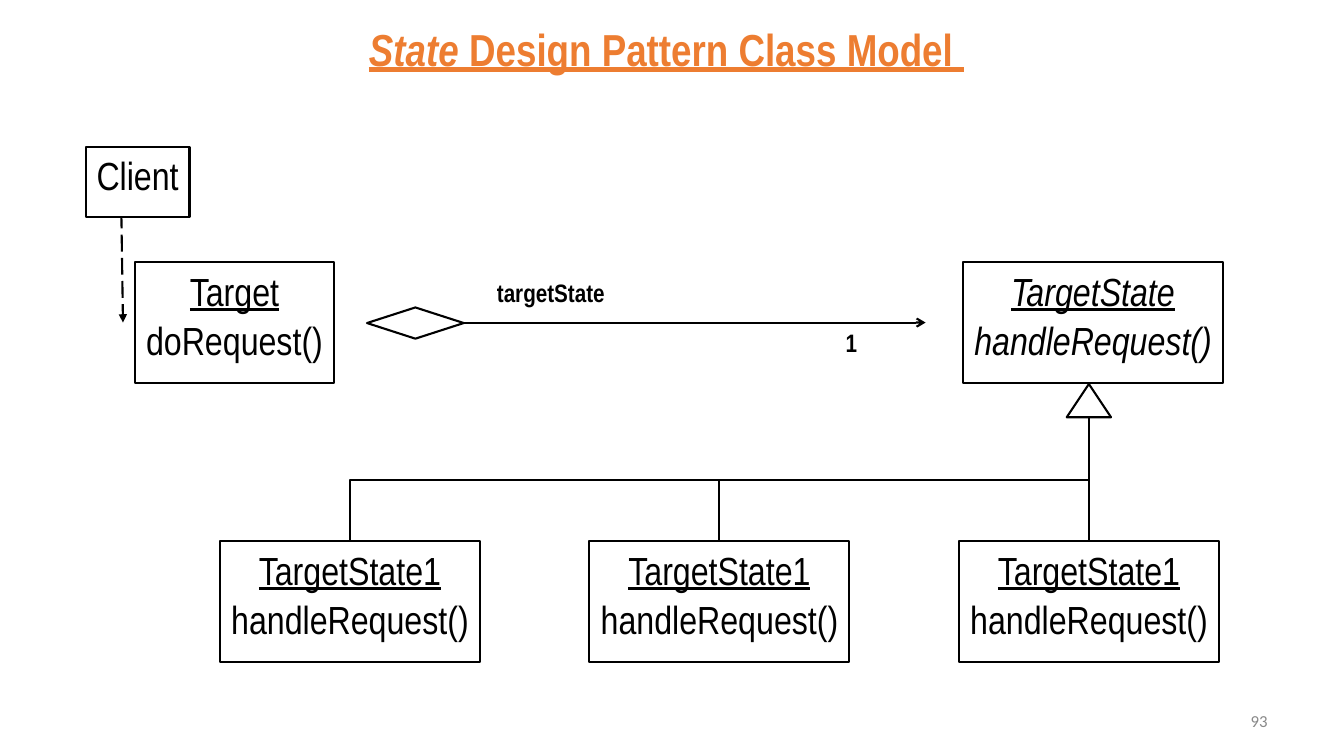
from dataclasses import dataclass

from lxml.etree import SubElement
from pptx import Presentation
from pptx.dml.color import RGBColor
from pptx.enum.dml import MSO_LINE
from pptx.enum.shapes import MSO_CONNECTOR, MSO_SHAPE
from pptx.enum.text import MSO_ANCHOR, PP_ALIGN
from pptx.oxml.ns import qn
from pptx.util import Inches, Pt

BLACK = RGBColor(0x00, 0x00, 0x00)
WHITE = RGBColor(0xFF, 0xFF, 0xFF)
ORANGE = RGBColor(0xED, 0x7D, 0x31)
GRAY = RGBColor(0x89, 0x89, 0x89)

CELL = Inches(0.1)
CLASS_FONT = {"name": "Arial Narrow", "size": Pt(28)}
LABEL_FONT = {"name": "Arial Narrow", "size": Pt(18), "bold": True}
TITLE_FONT = {"name": "Arial Narrow", "size": Pt(32), "bold": True, "underline": True}
NUMBER_FONT = {"name": "Calibri", "size": Pt(12)}
UNDERLINED = {"underline": True}
ITALIC = {"italic": True}


@dataclass
class Area:
    col: float
    row: float
    cols: float
    rows: float

    def emu(self) -> list[int]:
        return [grid(v) for v in (self.col, self.row, self.cols, self.rows)]


@dataclass
class ClassBox:
    area: Area
    lines: list[tuple[str, dict]]


@dataclass
class Label:
    area: Area
    text: str
    fmt: dict
    color: RGBColor
    align: PP_ALIGN = PP_ALIGN.LEFT
    anchor: MSO_ANCHOR = MSO_ANCHOR.TOP
    wrap: bool = False


def grid(cells: float) -> int:
    return round(cells * CELL)


def add_run(p, text: str, fmt: dict, color: RGBColor) -> None:
    r = p.add_run()
    r.text = text
    for name, value in fmt.items():
        setattr(r.font, name, value)
    r.font.color.rgb = color


def add_outline(slide, kind: MSO_SHAPE, area: Area, filled: bool = True, lined: bool = True):
    sp = slide.shapes.add_shape(kind, *area.emu())
    sp.shadow.inherit = False
    if filled:
        sp.fill.solid()
        sp.fill.fore_color.rgb = WHITE
    else:
        sp.fill.background()
    if lined:
        sp.line.color.rgb = BLACK
        sp.line.width = Pt(1.5)
    else:
        sp.line.fill.background()
    return sp


def add_class(slide, box: ClassBox) -> None:
    tf = add_outline(slide, MSO_SHAPE.RECTANGLE, box.area).text_frame
    frame = {
        "word_wrap": False, "vertical_anchor": MSO_ANCHOR.MIDDLE,
        "margin_top": Inches(0.2), "margin_bottom": Inches(0.2),
    }
    for name, value in frame.items():
        setattr(tf, name, value)
    for i, (text, fmt) in enumerate(box.lines):
        p = tf.add_paragraph() if i else tf.paragraphs[0]
        p.alignment = PP_ALIGN.CENTER
        p.line_spacing = 0.6
        if i:
            p.space_before = Pt(15)
        add_run(p, text, CLASS_FONT | fmt, BLACK)


def add_label(slide, label: Label) -> None:
    tf = slide.shapes.add_textbox(*label.area.emu()).text_frame
    tf.word_wrap = label.wrap
    tf.vertical_anchor = label.anchor
    p = tf.paragraphs[0]
    p.alignment = label.align
    add_run(p, label.text, label.fmt, label.color)


def add_title(slide) -> None:
    sp = add_outline(slide, MSO_SHAPE.RECTANGLE, Area(0, 1.7, 132.2, 6.7), lined=False)
    tf = sp.text_frame
    tf.word_wrap = True
    tf.vertical_anchor = MSO_ANCHOR.TOP
    p = tf.paragraphs[0]
    p.alignment = PP_ALIGN.CENTER
    add_run(p, "State ", TITLE_FONT | ITALIC, ORANGE)
    add_run(p, "Design Pattern Class Model ", TITLE_FONT, ORANGE)


def add_line(slide, kind: MSO_CONNECTOR, start: tuple[float, float],
             end: tuple[float, float], arrow: str = ""):
    cn = slide.shapes.add_connector(kind, *[grid(v) for v in start + end])
    cn.line.color.rgb = BLACK
    cn.line.width = Pt(1.5)
    if arrow:
        SubElement(cn.line._get_or_add_ln(), qn("a:tailEnd"), type=arrow)
    SubElement(cn._element.spPr, qn("a:effectLst"))
    return cn


def add_branch(slide, parent: tuple[float, float], child: tuple[float, float]) -> None:
    mid_x, mid_y = (parent[0] + child[0]) / 2, (parent[1] + child[1]) / 2
    half_w, half_h = (child[1] - parent[1]) / 2, (parent[0] - child[0]) / 2
    cn = add_line(slide, MSO_CONNECTOR.ELBOW, (mid_x - half_w, mid_y - half_h),
                  (mid_x + half_w, mid_y + half_h))
    cn._element.spPr.find(qn("a:xfrm")).set("rot", str(90 * 60000))


def main() -> None:
    prs = Presentation()
    prs.slide_width = Inches(13.33)
    prs.slide_height = Inches(7.5)
    slide = prs.slides.add_slide(prs.slide_layouts[6])

    state_w, class_h = 25.8, 12
    state_top, first_col, step = 53.7, 21.8, 36.65
    state_cols = [first_col + i * step for i in range(3)]
    parent = (state_cols[-1] + state_w / 2, 41.5)
    axis = 32

    classes = [
        ClassBox(Area(13.4, 26, 19.7, class_h), [("Target", UNDERLINED), ("doRequest()", {})]),
        ClassBox(Area(95.5, 26, state_w, class_h),
                 [("TargetState", UNDERLINED | ITALIC), ("handleRequest()", ITALIC)]),
    ]
    classes += [
        ClassBox(Area(col, state_top, state_w, class_h),
                 [("TargetState1", UNDERLINED), ("handleRequest()", {})])
        for col in state_cols
    ]
    labels = [
        Label(Area(48.3, 27, 12.8, 4), "targetState", LABEL_FONT, BLACK),
        Label(Area(82.9, axis, 3.3, 4), "1", LABEL_FONT, BLACK, wrap=True),
        Label(Area(95.6, 69.5, 31.1, 4), "93", NUMBER_FONT, GRAY,
              PP_ALIGN.RIGHT, MSO_ANCHOR.MIDDLE, True),
    ]

    add_title(slide)
    add_line(slide, MSO_CONNECTOR.STRAIGHT, (42.2, axis), (91.8, axis), "arrow")
    add_outline(slide, MSO_SHAPE.DIAMOND, Area(36.4, 30.5, 9.6, 3.1))
    for box in classes:
        add_class(slide, box)
    dashed = add_line(slide, MSO_CONNECTOR.STRAIGHT, (12, 18.7), (12.2, axis), "triangle")
    dashed.line.dash_style = MSO_LINE.LONG_DASH
    add_class(slide, ClassBox(Area(8.5, 14.6, 10.3, 6.9), [("Client", {})]))
    for label in labels:
        add_label(slide, label)
    add_outline(slide, MSO_SHAPE.ISOSCELES_TRIANGLE,
                Area(parent[0] - 2.2, 38.1, 4.4, 3.3), filled=False)
    for col in state_cols:
        add_branch(slide, parent, (col + state_w / 2, state_top))

    prs.save("out.pptx")


if __name__ == "__main__":
    main()
